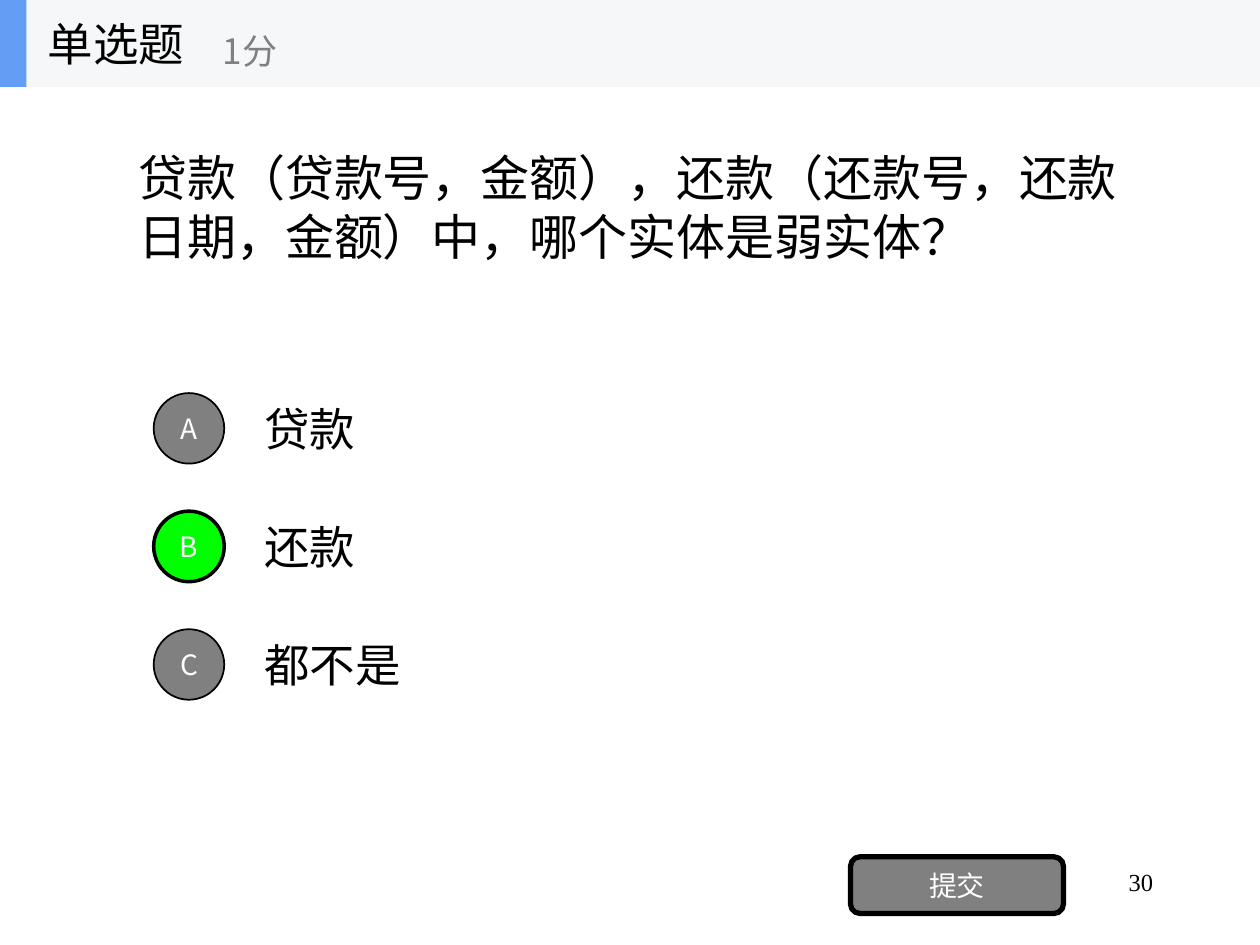
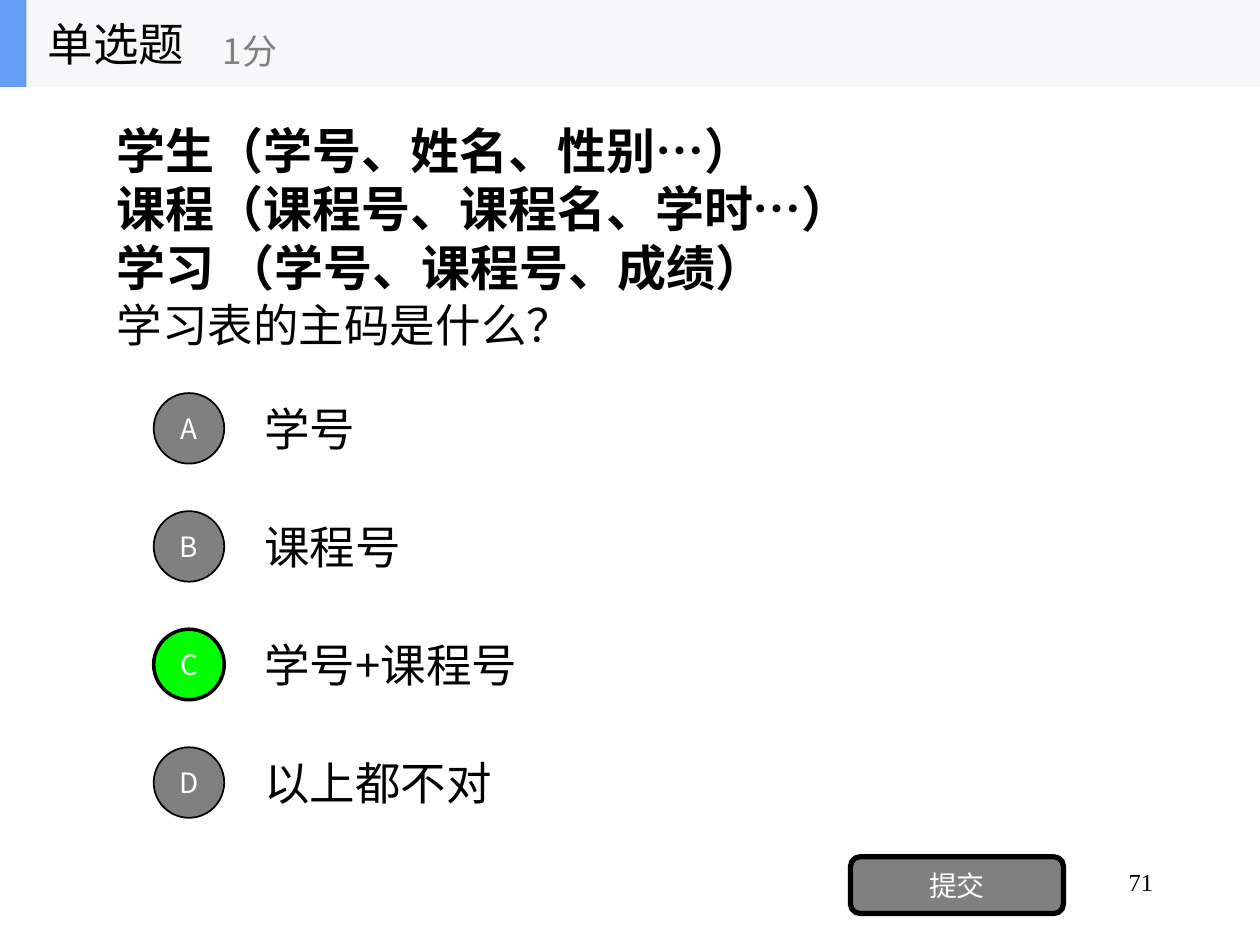
from pptx import Presentation
from pptx import util as u
from pptx.dml.color import RGBColor
from pptx.enum import lang, shapes, text
from pptx.oxml.ns import qn
from lxml import etree

SANS, SERIF = "Noto Sans CJK SC", "Times New Roman"
BLACK, WHITE, GREY, GREEN = "000000", "FFFFFF", "808080", "00FF00"
BAND, ACCENT = "F6F7F8", "639EF4"
LEFT, CENTER, RIGHT = text.PP_ALIGN.LEFT, text.PP_ALIGN.CENTER, text.PP_ALIGN.RIGHT
TOP, MIDDLE = text.MSO_ANCHOR.TOP, text.MSO_ANCHOR.MIDDLE
SHAPE = shapes.MSO_SHAPE


def rgb(value):
    return RGBColor.from_string(value)


class Quiz:
    """Holds the presentation, the current slide and the quiz style."""

    def __init__(self):
        self.prs = Presentation()
        self.prs.slide_width, self.prs.slide_height = u.Inches(10), u.Inches(7.5)
        self.s = None

    def new_slide(self):
        self.s = self.prs.slides.add_slide(self.prs.slide_layouts[6])

    def style(self, p, size, font=SANS, color=BLACK, bold=False, align=LEFT):
        p.alignment = align
        for r in p.runs:
            f = r.font
            f.size, f.name, f.bold = u.Pt(size), font, bold
            f.color.rgb = rgb(color)
            f.language_id = lang.MSO_LANGUAGE_ID.SIMPLIFIED_CHINESE
            # Chinese characters use the sans face whatever the Latin font is
            etree.SubElement(r.font._element, qn("a:ea"), typeface=SANS)

    def text(self, box, content, size, parent=None, anchor=MIDDLE, **style):
        sp = (parent or self.s).shapes.add_textbox(*map(u.Inches, box))
        tf = sp.text_frame
        tf.word_wrap, tf.vertical_anchor = True, anchor
        tf.text = content
        for p in tf.paragraphs:
            self.style(p, size, **style)
        return tf

    def shape(self, kind, box, fill, line=0, label="", parent=None):
        sp = (parent or self.s).shapes.add_shape(kind, *map(u.Inches, box))
        sp.shadow.inherit = False
        sp.fill.solid()
        sp.fill.fore_color.rgb = rgb(fill)
        if line:
            sp.line.color.rgb = rgb(BLACK)
            sp.line.width = u.Pt(line)
        else:
            sp.line.fill.background()
        if label:
            tf = sp.text_frame
            tf.margin_left = tf.margin_right = tf.margin_top = tf.margin_bottom = 0
            tf.vertical_anchor = MIDDLE
            tf.text = label
            self.style(tf.paragraphs[0], 16, color=WHITE, align=CENTER)

    def header(self):
        group = self.s.shapes.add_group_shape()
        self.shape(SHAPE.RECTANGLE, (0, 0, 10, 0.69), BAND, parent=group)
        self.shape(SHAPE.RECTANGLE, (0, 0, 0.21, 0.69), ACCENT, parent=group)
        self.text((0.28, 0, 2.08, 0.69), "单选题", 26, parent=group)
        self.text((1.67, 0.12, 2.5, 0.56), "1分", 20, parent=group, color=GREY)

    def options(self, answers, correct):
        tops = [3.05 + 0.937 * i for i in range(len(answers))]
        for top, answer in zip(tops, answers):
            self.text((2, top, 7, 0.7), answer, 26)
        for top, letter in zip(tops, "ABCD"):
            fill, line = (GREEN, 2) if letter == correct else (GREY, 1)
            self.shape(SHAPE.OVAL, (1.22, top + 0.07, 0.56, 0.56), fill, line, letter)

    def question(self, number, place, content, answers, correct, **style):
        """Adds a whole question slide and returns the text frame of its question."""
        self.new_slide()
        self.text((7.17, 6.83, 2.08, 0.5), str(number), 14, anchor=TOP, font=SERIF, align=RIGHT)
        tf = self.text((*place, 8, 2.34), content, 28, font=SERIF, **style)
        self.options(answers, correct)
        self.shape(SHAPE.ROUNDED_RECTANGLE, (6.75, 6.8, 1.69, 0.45), GREY, 3, "提交")
        self.header()
        return tf


def main():
    quiz = Quiz()
    quiz.question(
        30, (1, 0.47),
        "贷款（贷款号，金额），还款（还款号，还款日期，金额）中，哪个实体是弱实体？",
        ["贷款", "还款", "都不是"], "B")
    tf = quiz.question(
        71, (0.83, 0.7),
        "学生（学号、姓名、性别…）\n课程（课程号、课程名、学时…）\n学习 （学号、课程号、成绩）",
        ["学号", "课程号", "学号+课程号", "以上都不对"], "C", bold=True)
    p = tf.add_paragraph()
    p.text = "学习表的主码是什么？"
    quiz.style(p, 26)
    quiz.prs.save("out.pptx")


if __name__ == "__main__":
    main()
